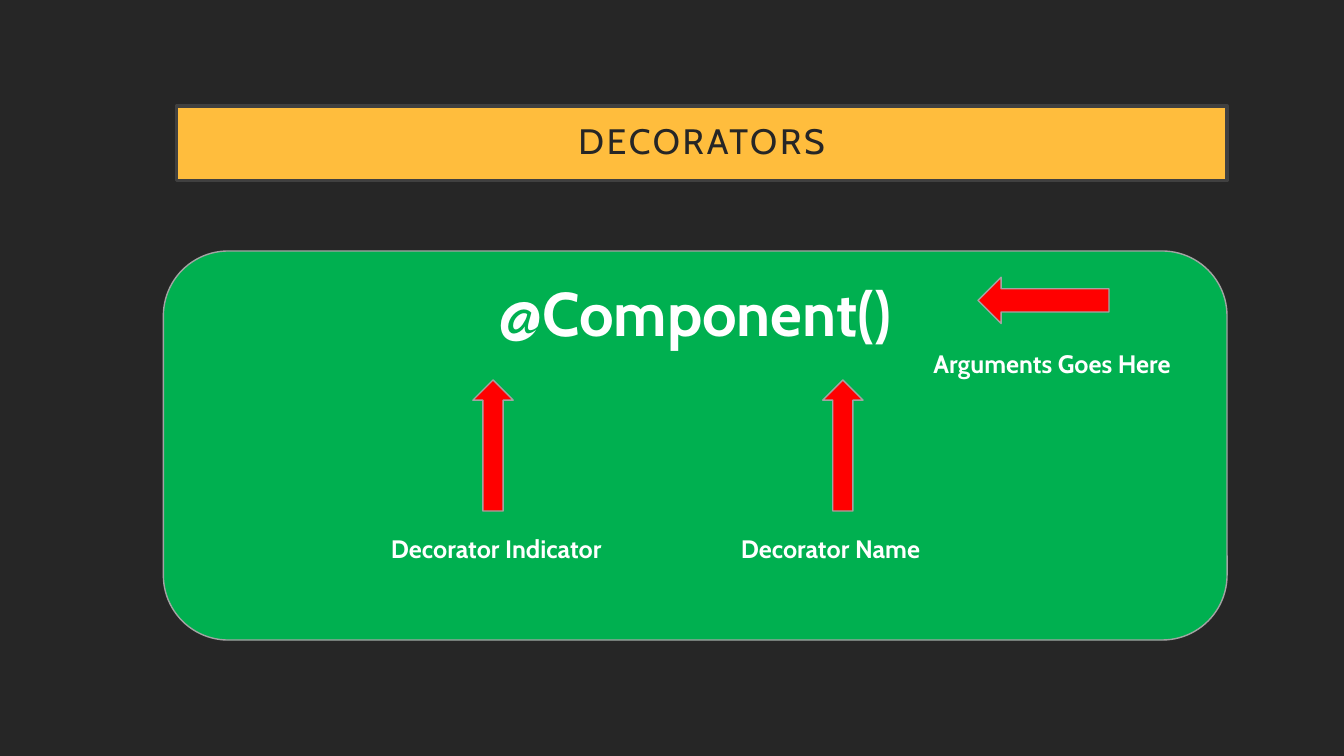
from pptx import Presentation
from pptx.dml.color import RGBColor
from pptx.enum.shapes import MSO_SHAPE as Shape
from pptx.enum.text import MSO_ANCHOR as Anchor, MSO_AUTO_SIZE as AutoSize, PP_ALIGN as Align
from pptx.util import Inches, Pt

COLORS = {
    "background": "262626",
    "title_fill": "FFBD3D",
    "title_line": "404040",
    "panel": "00B050",
    "outline": "A3A3A3",
    "arrow": "FF0000",
    "text": "FFFFFF",
}
FONT = "Cabin"


def color(name):
    return RGBColor.from_string(COLORS[name])


def paint(shape, fill, line, width):
    shape.fill.solid()
    shape.fill.fore_color.rgb = color(fill)
    shape.line.color.rgb = color(line)
    shape.line.width = Pt(width)


def write(shape, text, size, text_color, bold, align):
    paragraph = shape.text_frame.paragraphs[0]
    paragraph.text = text
    paragraph.alignment = align
    font = paragraph.font
    font.name, font.size, font.bold = FONT, Pt(size), bold
    font.color.rgb = color(text_color)
    return paragraph


def add_title(slide, left, top, width, height):
    title = slide.shapes.title
    title.left, title.top = Inches(left), Inches(top)
    title.width, title.height = Inches(width), Inches(height)
    paint(title, "title_fill", "title_line", 2.5)
    frame = title.text_frame
    frame.auto_size = AutoSize.NONE
    frame.vertical_anchor = Anchor.MIDDLE
    frame.margin_left = frame.margin_right = Inches(0.2)
    frame.margin_top = frame.margin_bottom = Inches(0.2)
    paragraph = write(title, "DECORATORS", 25.2, "background", False, Align.CENTER)
    paragraph.line_spacing = 0.9
    # Letter spacing, in hundredths of a point
    paragraph.runs[0].font._element.set("spc", "200")


def add_arrow(slide, left, top, width, rotation=0):
    arrow = slide.shapes.add_shape(
        Shape.UP_ARROW, Inches(left), Inches(top), Inches(width), Inches(1.3))
    arrow.shadow.inherit = False
    arrow.rotation = rotation
    paint(arrow, "arrow", "outline", 1)


def add_label(slide, text, left, top, width):
    label = slide.shapes.add_textbox(
        Inches(left), Inches(top), Inches(width), Inches(0.4))
    label.text_frame.word_wrap = True
    label.text_frame.auto_size = AutoSize.SHAPE_TO_FIT_TEXT
    write(label, text, 18, "text", True, Align.LEFT)


def add_decorator_panel(slide, left, top, width, height):
    panel = slide.shapes.add_shape(
        Shape.ROUNDED_RECTANGLE, Inches(left), Inches(top), Inches(width), Inches(height))
    panel.shadow.inherit = False
    paint(panel, "panel", "outline", 1)
    panel.text_frame.word_wrap = True
    panel.text_frame.vertical_anchor = Anchor.TOP
    write(panel, "@Component()", 44, "text", True, Align.CENTER)

    # Parts named from below
    for text, offset in (("Decorator Indicator", 2.16), ("Decorator Name", 5.63)):
        add_arrow(slide, left + offset + 0.91, top + 1.28, 0.4)
        add_label(slide, text, left + offset, top + 2.75, 2.6)

    # Arguments, pointed at from the right
    add_arrow(slide, left + 8.5, top - 0.16, 0.46, rotation=270)
    add_label(slide, "Arguments Goes Here", left + 7.54, top + 0.92, 2.89)


def main():
    presentation = Presentation()
    presentation.slide_width, presentation.slide_height = Inches(13.33), Inches(7.5)
    slide = presentation.slides.add_slide(presentation.slide_layouts[5])
    slide.background.fill.solid()
    slide.background.fill.fore_color.rgb = color("background")
    add_title(slide, 1.75, 1.05, 10.42, 0.74)
    add_decorator_panel(slide, 1.62, 2.49, 10.55, 3.86)
    presentation.save("out.pptx")


if __name__ == "__main__":
    main()
